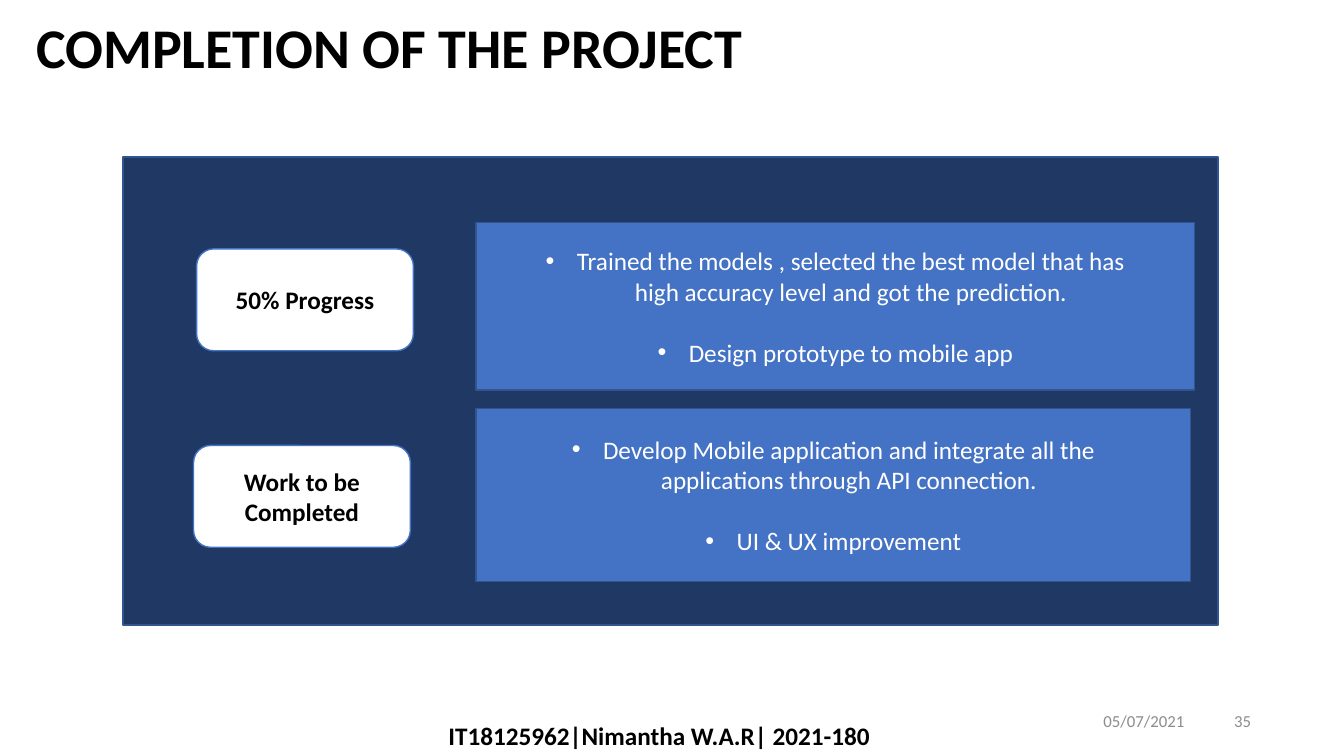
import dataclasses

import lxml.etree
import pptx
import pptx.dml.color
import pptx.enum.shapes
import pptx.enum.text
import pptx.oxml.ns
import pptx.util

ALIGN = pptx.enum.text.PP_ALIGN
ANCHOR = pptx.enum.text.MSO_ANCHOR
SHAPE = pptx.enum.shapes.MSO_SHAPE


@dataclasses.dataclass(frozen=True)
class Theme:
    font: str = "Calibri"
    black: str = "000000"
    white: str = "FFFFFF"
    grey: str = "8C8C8C"
    navy: str = "203864"
    blue: str = "4472C4"
    edge: str = "325491"
    title_size: int = 40
    body_size: int = 18
    small_size: int = 12
    bullet_gap: int = 22


THEME = Theme()
WIDTH = pptx.util.Inches(13.33)
HEIGHT = pptx.util.Inches(7.5)

# Boxes are left, top, width, height in percent of the slide
PANEL = (9.15, 20.8, 81.47, 61.87)
BADGE_SIZE = (16.13, 13.47)
TASK_LEFT = 35.41
STAGES = [
    ("50% Progress", (14.63, 32.93), (29.47, 53.49, 22.13),
     ["Trained the models , selected the best model that has "
      "high\u00a0accuracy level and got the prediction.",
      "Design prototype to mobile app"]),
    ("Work to be Completed", (14.4, 58.93), (54, 53.19, 22.93),
     ["Develop Mobile application and integrate all the "
      "applications\u00a0through\u00a0API connection.",
      "UI & UX improvement"]),
]


def color(value):
    return pptx.dml.color.RGBColor.from_string(value)


def place(box):
    left, top, width, height = box
    return (round(WIDTH * left / 100), round(HEIGHT * top / 100),
            round(WIDTH * width / 100), round(HEIGHT * height / 100))


def format_paragraph(paragraph, size, text_color, bold, align):
    paragraph.alignment = align
    for run in paragraph.runs:
        run.font.name = THEME.font
        run.font.size = pptx.util.Pt(size)
        run.font.bold = bold
        run.font.color.rgb = color(text_color)


def add_label(slide, box, text, size, text_color, bold=False,
              align=ALIGN.LEFT, anchor=ANCHOR.TOP):
    frame = slide.shapes.add_textbox(*place(box)).text_frame
    frame.word_wrap = True
    frame.vertical_anchor = anchor
    frame.text = text
    format_paragraph(frame.paragraphs[0], size, text_color, bold, align)
    return frame


def add_block(slide, kind, box, fill, line):
    shape = slide.shapes.add_shape(kind, *place(box))
    shape.shadow.inherit = False
    shape.fill.solid()
    shape.fill.fore_color.rgb = color(fill)
    shape.line.color.rgb = color(line)
    shape.line.width = pptx.util.Pt(1)
    shape.text_frame.word_wrap = True
    shape.text_frame.vertical_anchor = ANCHOR.MIDDLE
    return shape


def add_bullet(paragraph):
    properties = paragraph._p.get_or_add_pPr()
    indent = pptx.util.Inches(0.31)
    properties.set("marL", str(indent))
    properties.set("indent", str(-indent))
    for tag, name, value in (("a:buFont", "typeface", "Arial"),
                             ("a:buChar", "char", "•")):
        element = lxml.etree.SubElement(properties, pptx.oxml.ns.qn(tag))
        element.set(name, value)


def add_badge(slide, box, text):
    shape = add_block(slide, SHAPE.ROUNDED_RECTANGLE, box,
                      THEME.white, THEME.blue)
    shape.text_frame.text = text
    format_paragraph(shape.text_frame.paragraphs[0], THEME.body_size,
                     THEME.black, True, ALIGN.CENTER)


def add_tasks(slide, box, tasks):
    shape = add_block(slide, SHAPE.RECTANGLE, box, THEME.blue, THEME.edge)
    frame = shape.text_frame
    frame.text = "\n".join(tasks)
    for index, paragraph in enumerate(frame.paragraphs):
        add_bullet(paragraph)
        if index:
            paragraph.space_before = pptx.util.Pt(THEME.bullet_gap)
        format_paragraph(paragraph, THEME.body_size, THEME.white,
                         False, ALIGN.CENTER)


def main():
    presentation = pptx.Presentation()
    presentation.slide_width = WIDTH
    presentation.slide_height = HEIGHT
    slide = presentation.slides.add_slide(presentation.slide_layouts[6])

    # Footer: date, page number and author
    for box, text in (((70.67, 92.67, 18.2, 5.33), "05/07/2021"),
                      ((88.22, 92.67, 5.6, 5.33), "35")):
        add_label(slide, box, text, THEME.small_size, THEME.grey,
                  align=ALIGN.RIGHT, anchor=ANCHOR.MIDDLE)
    add_label(slide, (32.63, 94.67, 40.59, 5.33),
              "IT18125962|Nimantha W.A.R| 2021-180",
              THEME.body_size, THEME.black, bold=True)

    # Title
    title = add_label(slide, (1.95, -4.13, 55.74, 15.47),
                      "COMPLETION OF THE PROJECT", THEME.title_size,
                      THEME.black, bold=True, anchor=ANCHOR.BOTTOM)
    title.paragraphs[0].line_spacing = 0.9

    # Panel with one badge and one task list per stage
    add_block(slide, SHAPE.RECTANGLE, PANEL, THEME.navy, THEME.edge)
    for name, badge_corner, task_box, tasks in STAGES:
        add_badge(slide, badge_corner + BADGE_SIZE, name)
        add_tasks(slide, (TASK_LEFT,) + task_box_order(task_box), tasks)

    presentation.save("out.pptx")


def task_box_order(task_box):
    top, width, height = task_box
    return top, width, height


if __name__ == "__main__":
    main()
